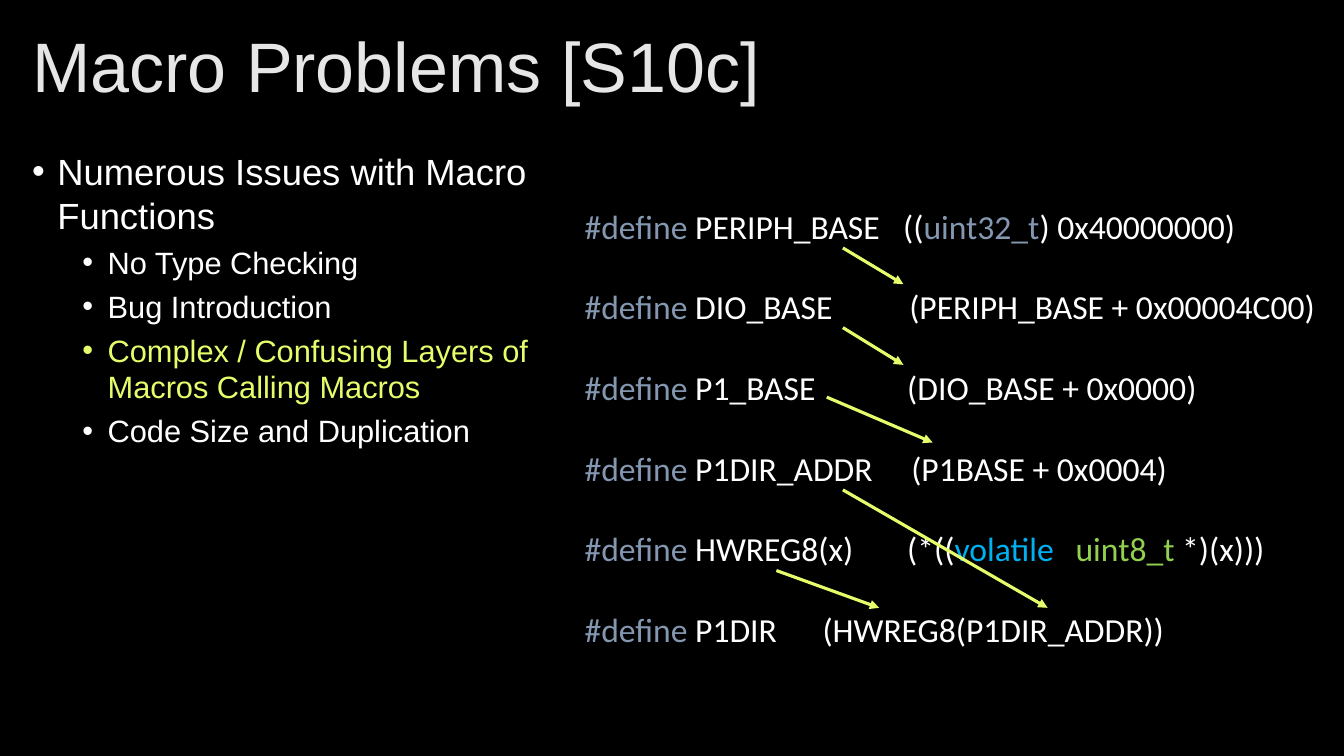
from lxml import etree
from pptx import Presentation
from pptx import util as u
from pptx.dml.color import RGBColor
from pptx.enum import shapes, text
from pptx.oxml.ns import qn

WHITE, LIME, SLATE = "FFFFFF", "E7FC6A", "8497B0"
TITLE = "Macro Problems [S10c]"
POINTS = [
    (0, "Numerous Issues with Macro Functions", WHITE),
    (1, "No Type Checking", WHITE),
    (1, "Bug Introduction", WHITE),
    (1, "Complex / Confusing Layers of Macros Calling Macros", LIME),
    (1, "Code Size and Duplication", WHITE),
]
LEVELS = [(26, 0.25, 10), (22, 0.75, 5)]
MACROS = [
    ("PERIPH_BASE", [3.16], [("((", WHITE), ("uint32_t", SLATE), (") 0x40000000)", WHITE)]),
    ("DIO_BASE", [3.22], [("(PERIPH_BASE + 0x00004C00)", WHITE)]),
    ("P1_BASE", [3.2], [("(DIO_BASE + 0x0000)", WHITE)]),
    ("P1DIR_ADDR", [3.24], [("(P1BASE + 0x0004)", WHITE)]),
    ("HWREG8(x)", [3.2, 4.87], [("(*((", WHITE), ("volatile\t", "00B0F0"),
                                ("uint8_t", "92D050"), (" *)(x)))", WHITE)]),
    ("P1DIR", [2.36], [("(HWREG8(P1DIR_ADDR))", WHITE)]),
]
ARROWS = [
    (8.36, 2.46, 8.96, 2.82),
    (8.36, 3.25, 8.96, 3.62),
    (8.2, 3.94, 9.25, 4.39),
    (8.36, 4.86, 10.39, 6.03),
    (7.7, 5.66, 8.72, 6.03),
]
LINE = 28.8


def color(code):
    return RGBColor.from_string(code)


def add_box(slide, *place):
    frame = slide.shapes.add_textbox(*map(u.Inches, place)).text_frame
    frame.word_wrap = True
    return frame


def next_para(frame, index):
    return frame.add_paragraph() if index else frame.paragraphs[0]


def add_run(para, words, size, font, code):
    run = para.add_run()
    run.text = words
    run.font.size, run.font.name = u.Pt(size), font
    run.font.color.rgb = color(code)


def add_title(slide):
    frame = add_box(slide, 0.22, 0.21, 12.89, 0.97)
    frame.vertical_anchor = text.MSO_ANCHOR.MIDDLE
    para = frame.paragraphs[0]
    para.line_spacing = 0.9
    add_run(para, TITLE, 50, "Arial", "E7E6E6")


def add_points(slide):
    frame = add_box(slide, 0.22, 1.43, 5.4, 3.11)
    for index, (level, words, code) in enumerate(POINTS):
        size, indent, gap = LEVELS[level]
        para = next_para(frame, index)
        para.level, para.space_before = level, u.Pt(gap)
        props = para._p.get_or_add_pPr()
        props.set("marL", str(u.Inches(indent)))
        props.set("indent", str(u.Inches(-0.25)))
        etree.SubElement(props, qn("a:buFont"), typeface="Arial")
        etree.SubElement(props, qn("a:buChar"), char="•")
        add_run(para, words, size, "Arial", code)


def add_macros(slide):
    frame = add_box(slide, 5.7, 1.99, 7.5, 4.54)
    for index, (name, stops, value) in enumerate(MACROS):
        para = next_para(frame, index)
        para.line_spacing = u.Pt(LINE)
        para.space_before = u.Pt(LINE if index else 0)
        tabs = etree.SubElement(para._p.get_or_add_pPr(), qn("a:tabLst"))
        for stop in stops:
            etree.SubElement(tabs, qn("a:tab"), pos=str(u.Inches(stop)), algn="l")
        for words, code in [("#define ", SLATE), (name + "\t", WHITE), *value]:
            add_run(para, words, 24, "Calibri", code)


def add_arrow(slide, *ends):
    arrow = slide.shapes.add_connector(
        shapes.MSO_CONNECTOR.STRAIGHT, *map(u.Inches, ends))
    arrow.line.width = u.Pt(2.25)
    arrow.line.color.rgb = color(LIME)
    etree.SubElement(arrow.line._get_or_add_ln(), qn("a:tailEnd"), type="triangle")
    etree.SubElement(arrow._element.spPr, qn("a:effectLst"))


def main():
    """Build the slide on macro problems."""
    deck = Presentation()
    deck.slide_width, deck.slide_height = u.Inches(13.33), u.Inches(7.5)
    slide = deck.slides.add_slide(deck.slide_layouts[6])
    fill = slide.background.fill
    fill.solid()
    fill.fore_color.rgb = color("000000")
    add_title(slide)
    add_points(slide)
    add_macros(slide)
    for ends in ARROWS:
        add_arrow(slide, *ends)
    deck.save("out.pptx")


if __name__ == "__main__":
    main()
